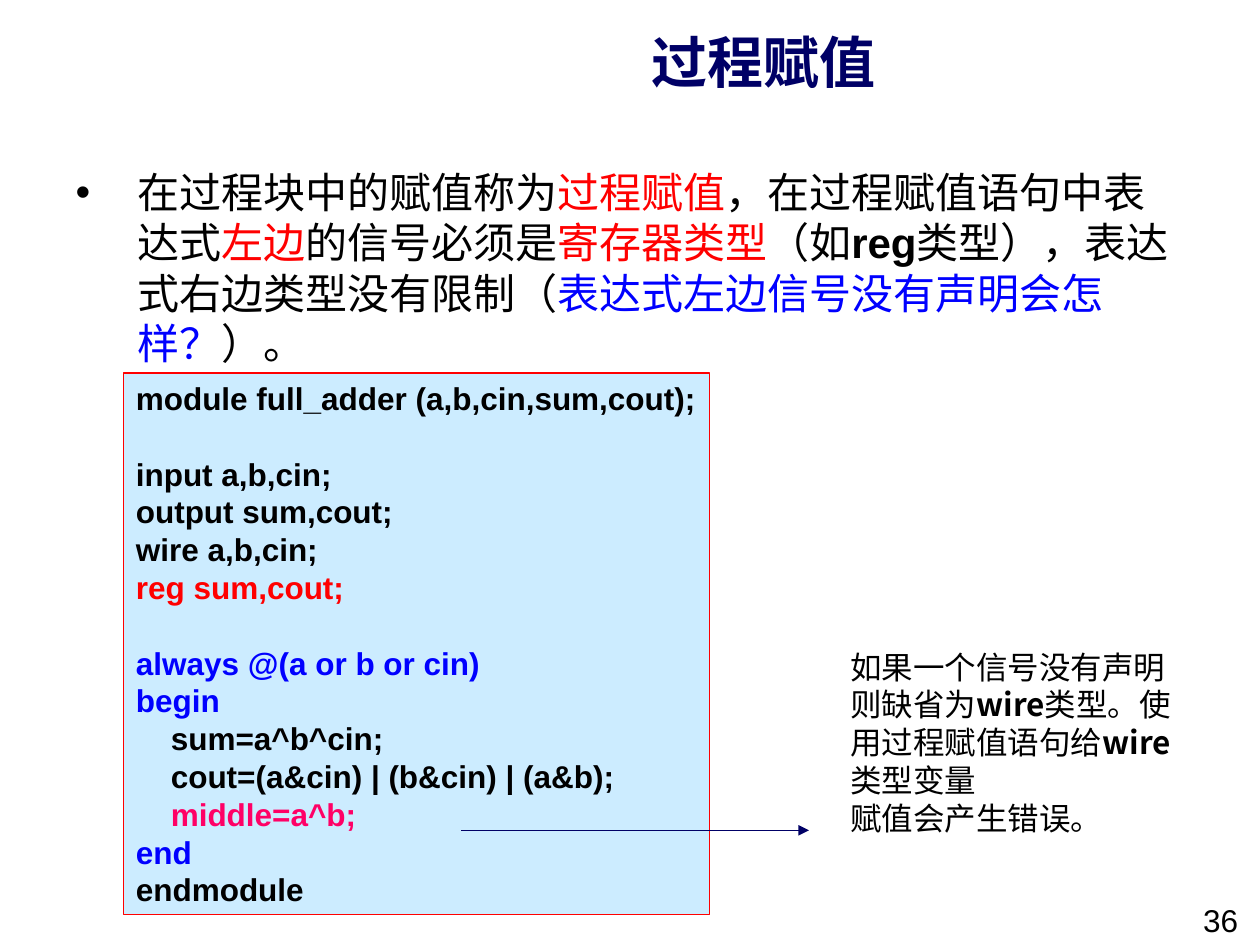
import pptx
import pptx.util
import pptx.dml.color
import pptx.enum.dml
import pptx.enum.shapes
import pptx.enum.text
import pptx.oxml.ns
from lxml import etree

Inches, Pt = pptx.util.Inches, pptx.util.Pt
RGBColor = pptx.dml.color.RGBColor

BLACK = RGBColor(0x00, 0x00, 0x00)
NAVY = RGBColor(0x00, 0x00, 0x66)
RED = RGBColor(0xFF, 0x00, 0x00)
BLUE = RGBColor(0x00, 0x00, 0xFF)
PINK = RGBColor(0xFF, 0x00, 0x66)
PALE_BLUE = RGBColor(0xCC, 0xEC, 0xFF)
LEADING = 1.2  # line pitch as a share of the text size


def add_element(parent, tag, **attributes):
    return etree.SubElement(parent, pptx.oxml.ns.qn(tag), **attributes)


def style(para, size, color=BLACK, bold=None, name="Arial"):
    para.font.size = Pt(size)
    para.font.name = name
    para.font.color.rgb = color
    para.font.bold = bold
    para.line_spacing = Pt(size * LEADING)


deck = pptx.Presentation()
deck.slide_width, deck.slide_height = Inches(10), Inches(7.5)
page = deck.slides.add_slide(deck.slide_layouts[1])

# Title
title = page.shapes.title
title.left, title.top = Inches(2.48), Inches(0.07)
title.width, title.height = Inches(7.16), Inches(0.83)
title.text_frame.text = "过程赋值"
title.text_frame.auto_size = pptx.enum.text.MSO_AUTO_SIZE.NONE
title.text_frame.vertical_anchor = pptx.enum.text.MSO_ANCHOR.MIDDLE
para = title.text_frame.paragraphs[0]
para.alignment = pptx.enum.text.PP_ALIGN.CENTER
style(para, 32, NAVY, True)

# Bulleted statement
body = page.placeholders[1]
body.left, body.top = Inches(0.5), Inches(1.27)
body.width, body.height = Inches(9), Inches(5.55)
body.text_frame.auto_size = pptx.enum.text.MSO_AUTO_SIZE.NONE
para = body.text_frame.paragraphs[0]
para.space_before = Pt(0)
properties = para._p.get_or_add_pPr()
properties.set("marL", str(Inches(0.49)))
properties.set("indent", str(-Inches(0.49)))
add_element(properties, "a:buFont", typeface="Arial")
add_element(properties, "a:buChar", char="•")
style(para, 24)
for text, color, bold in [
    ("在过程块中的赋值称为", BLACK, False),
    ("过程赋值", RED, False),
    ("，在过程赋值语句中表达式", BLACK, False),
    ("左边", RED, False),
    ("的信号必须是", BLACK, False),
    ("寄存器类型", RED, False),
    ("（如", BLACK, False),
    ("reg", BLACK, True),
    ("类型），表达式右边类型没有限制（", BLACK, False),
    ("表达式左边信号没有声明会怎样？", BLUE, False),
    ("）。", BLACK, False),
]:
    span = para.add_run()
    span.text = text
    span.font.color.rgb = color
    span.font.bold = bold

# Code listing, in sections set one line apart
code = page.shapes.add_shape(pptx.enum.shapes.MSO_SHAPE.RECTANGLE,
                             Inches(0.98), Inches(2.96), Inches(4.65), Inches(4.3))
code.shadow.inherit = False
code.fill.solid()
code.fill.fore_color.rgb = PALE_BLUE
code.line.color.rgb = RED
code.line.width = Pt(0.75)
frame = code.text_frame
frame.word_wrap = False
frame.vertical_anchor = pptx.enum.text.MSO_ANCHOR.TOP
sections = [
    [("module full_adder (a,b,cin,sum,cout);", BLACK)],
    [("input a,b,cin;", BLACK),
     ("output sum,cout;", BLACK),
     ("wire a,b,cin;", BLACK),
     ("reg sum,cout;", RED)],
    [("always @(a or b or cin)", BLUE),
     ("begin", BLUE),
     ("    sum=a^b^cin;", BLACK),
     ("    cout=(a&cin) | (b&cin) | (a&b);", BLACK),
     ("    middle=a^b;", PINK),
     ("end", BLUE),
     ("endmodule", BLACK)],
]
for section_index, section in enumerate(sections):
    for line_index, (text, color) in enumerate(section):
        first = section_index == line_index == 0
        para = frame.paragraphs[0] if first else frame.add_paragraph()
        para.text = text
        para.alignment = pptx.enum.text.PP_ALIGN.LEFT
        if line_index == 0 and not first:
            para.space_before = Pt(18 * LEADING)
        style(para, 18, color, True)

# Arrow from the faulty line to its explanation
arrow = page.shapes.add_connector(pptx.enum.shapes.MSO_CONNECTOR.STRAIGHT,
                                  Inches(3.66), Inches(6.59), Inches(6.42), Inches(6.59))
arrow.line.color.rgb = NAVY
arrow.line.width = Pt(0.75)
add_element(arrow.line._get_or_add_ln(), "a:tailEnd", type="triangle")
add_element(arrow._element.spPr, "a:effectLst")

# Explanation
note = page.shapes.add_textbox(Inches(6.65), Inches(5.09), Inches(2.76), Inches(2.06))
note.text_frame.word_wrap = True
note_lines = [
    [("如果一个信号没有声明则缺省为", False), ("wire", True),
     ("类型。使用过程赋值语句给", False), ("wire", True), ("类型变量", False)],
    [("赋值会产生错误。", False)],
]
for index, spans in enumerate(note_lines):
    para = note.text_frame.add_paragraph() if index else note.text_frame.paragraphs[0]
    style(para, 18, name="Noto Sans CJK SC")
    for text, bold in spans:
        span = para.add_run()
        span.text = text
        span.font.bold = bold

# Page number
number = page.shapes.add_textbox(Inches(9.45), Inches(7.1), Inches(0.55), Inches(0.4))
number.text_frame.word_wrap = True
number.text_frame.text = "36"
style(number.text_frame.paragraphs[0], 18)

deck.save("out.pptx")
